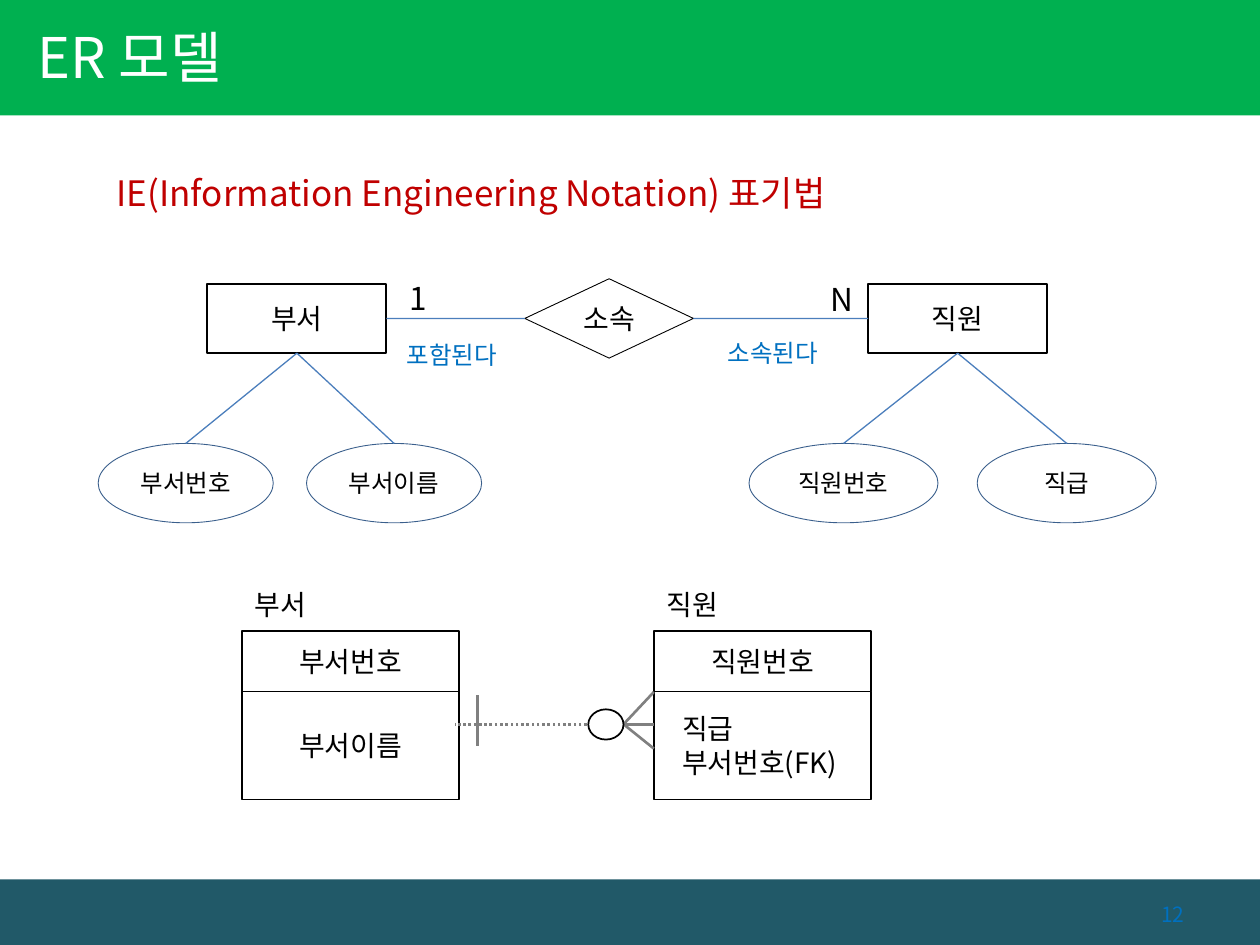
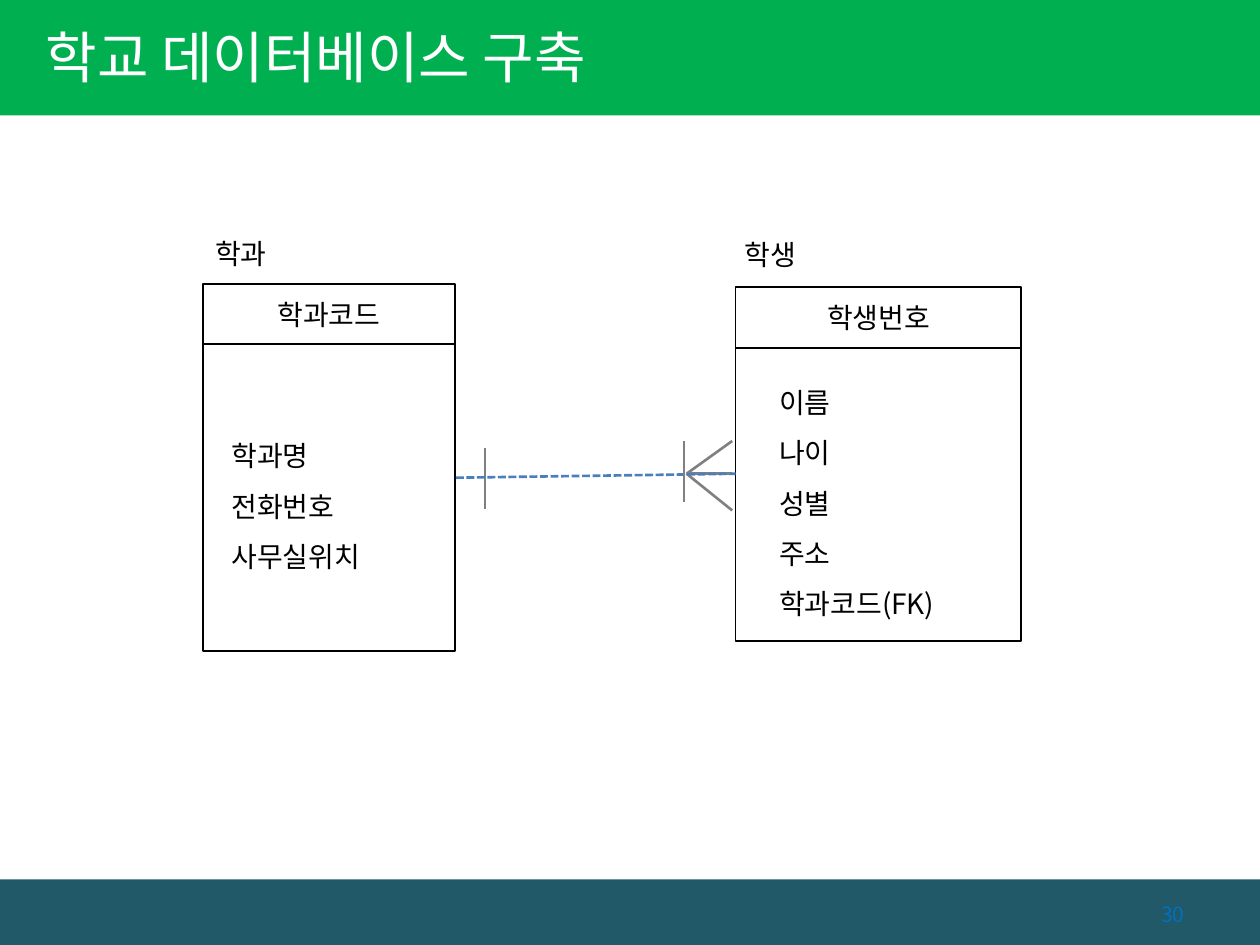
from lxml.etree import SubElement
from pptx import Presentation
from pptx.dml.color import RGBColor
from pptx.enum.dml import MSO_LINE
from pptx.enum.shapes import MSO_CONNECTOR, MSO_SHAPE
from pptx.enum.text import MSO_ANCHOR, PP_ALIGN
from pptx.oxml.ns import qn
from pptx.util import Cm, Pt

FONT = "Noto Sans CJK KR"
COLORS = {
    "white": "FFFFFF", "black": "000000", "green": "00B050", "teal": "215968",
    "blue": "0070C0", "red": "C00000", "gray": "808080",
    "link": "4B7EBC", "oval": "3A5F8C",
}
WIDTH, HEIGHT = 25.4, 19.05
TOP, LEFT, BOTTOM, RIGHT = range(4)
KEY_HEIGHT = 1.22


def rgb(name):
    """Return the named colour."""
    return RGBColor.from_string(COLORS[name])


def set_attrs(obj, values):
    """Set each attribute of obj from a dict."""
    for name, value in values.items():
        setattr(obj, name, value)


def write(shape, text, size=16, color="black", align=PP_ALIGN.LEFT,
          anchor=MSO_ANCHOR.TOP, inset=0.25, spacing=None):
    """Write one paragraph for each line of text."""
    tf = shape.text_frame
    set_attrs(tf, {"word_wrap": True, "vertical_anchor": anchor,
                   "margin_left": Cm(inset)})
    for i, line in enumerate(text.split("\n")):
        p = tf.add_paragraph() if i else tf.paragraphs[0]
        set_attrs(p, {"alignment": align, "line_spacing": spacing})
        r = p.add_run()
        r.text = line
        set_attrs(r.font, {"size": Pt(size), "name": FONT})
        r.font.color.rgb = rgb(color)
        SubElement(r.font._element, qn("a:ea"), typeface=FONT)


def add_text(s, box, text, **style):
    """Add a text box."""
    write(s.shapes.add_textbox(*map(Cm, box)), text, **style)


def add_box(s, kind, box, fill=None, line=None, weight=1.0, text="", **style):
    """Add a preset shape with optional fill, outline and text."""
    sp = s.shapes.add_shape(kind, *map(Cm, box))
    sp.shadow.inherit = False
    if fill:
        sp.fill.solid()
        sp.fill.fore_color.rgb = rgb(fill)
    else:
        sp.fill.background()
    if line:
        sp.line.color.rgb = rgb(line)
        sp.line.width = Pt(weight)
    else:
        sp.line.fill.background()
    if text:
        centred = {"align": PP_ALIGN.CENTER, "anchor": MSO_ANCHOR.MIDDLE}
        write(sp, text, **{**centred, **style})
    return sp


def add_line(s, start, end, color="gray", weight=1.5, dash=None):
    """Add a straight line between two points."""
    line = s.shapes.add_connector(MSO_CONNECTOR.STRAIGHT, *map(Cm, start + end))
    line.line.color.rgb = rgb(color)
    set_attrs(line.line, {"width": Pt(weight), "dash_style": dash})
    SubElement(line._element.spPr, qn("a:effectLst"))
    return line


def join(s, first, first_side, second, second_side):
    """Join two shapes with a thin line."""
    line = add_line(s, (0, 0), (1, 1), color="link", weight=0.75)
    line.begin_connect(first, first_side)
    line.end_connect(second, second_side)


def add_entity(s, x, name, attributes):
    """Add an entity box with its attribute ovals below."""
    entity = add_box(s, MSO_SHAPE.RECTANGLE, (x, 5.72, 3.61, 1.4),
                     line="black", text=name)
    for oval_x, oval_width, label in attributes:
        oval = add_box(s, MSO_SHAPE.OVAL, (oval_x, 8.94, oval_width, 1.6),
                       line="oval", weight=0.5, text=label, size=14)
        join(s, entity, BOTTOM, oval, TOP)
    return entity


def add_ie_table(s, box, name, label_at, key, fields, **style):
    """Add an IE entity: name, key row and field area."""
    x, y, width, height = box
    add_text(s, (*label_at, 2.08, 0.94), name)
    add_box(s, MSO_SHAPE.RECTANGLE, (x, y, width, KEY_HEIGHT),
            line="black", text=key)
    add_box(s, MSO_SHAPE.RECTANGLE,
            (x, y + KEY_HEIGHT, width, height - KEY_HEIGHT),
            line="black", text=fields, **style)


def add_crow_foot(s, apex, x_end, y_ends):
    """Add the three toes that mean many."""
    for y in (*y_ends, apex[1]):
        add_line(s, apex, (x_end, y))


def add_tick(s, x, top, bottom):
    """Add the upright bar that means one."""
    add_line(s, (x, top), (x, bottom))


def add_slide(prs, title, number, inset):
    """Add a slide with the shared bands, title and page number."""
    s = prs.slides.add_slide(prs.slide_layouts[6])
    add_box(s, MSO_SHAPE.RECTANGLE, (0, 17.73, WIDTH, 1.32), fill="teal")
    add_box(s, MSO_SHAPE.RECTANGLE, (0, 0, WIDTH, 2.33), fill="green")
    add_text(s, (0, 0, 20.1, 2.28), title, size=32, color="white",
             anchor=MSO_ANCHOR.MIDDLE, inset=inset)
    add_text(s, (22.13, 17.97, 2, 0.9), number, size=12, color="blue",
             align=PP_ALIGN.RIGHT, anchor=MSO_ANCHOR.MIDDLE)
    return s


def build_er_model(prs):
    """Build the slide that compares ER and IE notation."""
    s = add_slide(prs, "ER 모델", "12", inset=0.76)
    add_text(s, (2.1, 3.33, 15.6, 1.12),
             "IE(Information Engineering Notation) 표기법", size=20, color="red")

    department = add_entity(s, 4.18, "부서", [(1.98, 3.53, "부서번호"),
                                            (6.18, 3.53, "부서이름")])
    employee = add_entity(s, 17.5, "직원", [(15.1, 3.81, "직원번호"),
                                          (19.7, 3.61, "직급")])
    relation = add_box(s, MSO_SHAPE.DIAMOND, (10.58, 5.62, 3.4, 1.6),
                       line="black", weight=0.5, text="소속")
    join(s, department, RIGHT, relation, LEFT)
    join(s, relation, RIGHT, employee, LEFT)
    for x, y, role in ((7.95, 6.73, "포함된다"), (14.42, 6.69, "소속된다")):
        add_text(s, (x, y, 2.64, 0.86), role, size=14, color="blue")
    for x, y, count in ((8, 5.5, "1"), (16.5, 5.53, "N")):
        add_text(s, (x, y, 0.99, 1.02), count, size=18)

    add_ie_table(s, (4.88, 12.72, 4.37, 3.4), "부서", (4.88, 11.72),
                 "부서번호", "부서이름")
    add_ie_table(s, (13.19, 12.72, 4.37, 3.4), "직원", (13.19, 11.72),
                 "직원번호", "직급\n부서번호(FK)",
                 align=PP_ALIGN.LEFT, inset=0.56)
    add_line(s, (12.57, 14.6), (9.17, 14.6), dash=MSO_LINE.ROUND_DOT)
    add_crow_foot(s, (12.57, 14.6), 13.18, (13.95, 15.09))
    add_box(s, MSO_SHAPE.OVAL, (11.86, 14.3, 0.71, 0.61),
            fill="white", line="black")
    add_tick(s, 9.63, 14.02, 15.04)


def build_school_database(prs):
    """Build the slide of the school database."""
    s = add_slide(prs, "학교 데이터베이스 구축", "30", inset=0.92)
    fields = {"align": PP_ALIGN.LEFT, "spacing": 1.5}
    add_ie_table(s, (4.09, 5.72, 5.08, 7.41), "학과", (4.09, 4.65),
                 "학과코드", "학과명\n전화번호\n사무실위치", inset=0.58, **fields)
    add_ie_table(s, (14.83, 5.79, 5.76, 7.14), "학생", (14.76, 4.67),
                 "학생번호", "이름\n나이\n성별\n주소\n학과코드(FK)",
                 inset=0.88, **fields)
    add_crow_foot(s, (13.84, 9.55), 14.76, (8.89, 10.29))
    add_tick(s, 9.78, 9.04, 10.26)
    add_line(s, (9.19, 9.63), (14.83, 9.55), color="link",
             dash=MSO_LINE.SQUARE_DOT)
    add_tick(s, 13.79, 8.89, 10.11)


def main():
    """Build and save the presentation."""
    prs = Presentation()
    set_attrs(prs, {"slide_width": Cm(WIDTH), "slide_height": Cm(HEIGHT)})
    build_er_model(prs)
    build_school_database(prs)
    prs.save("out.pptx")


if __name__ == "__main__":
    main()
